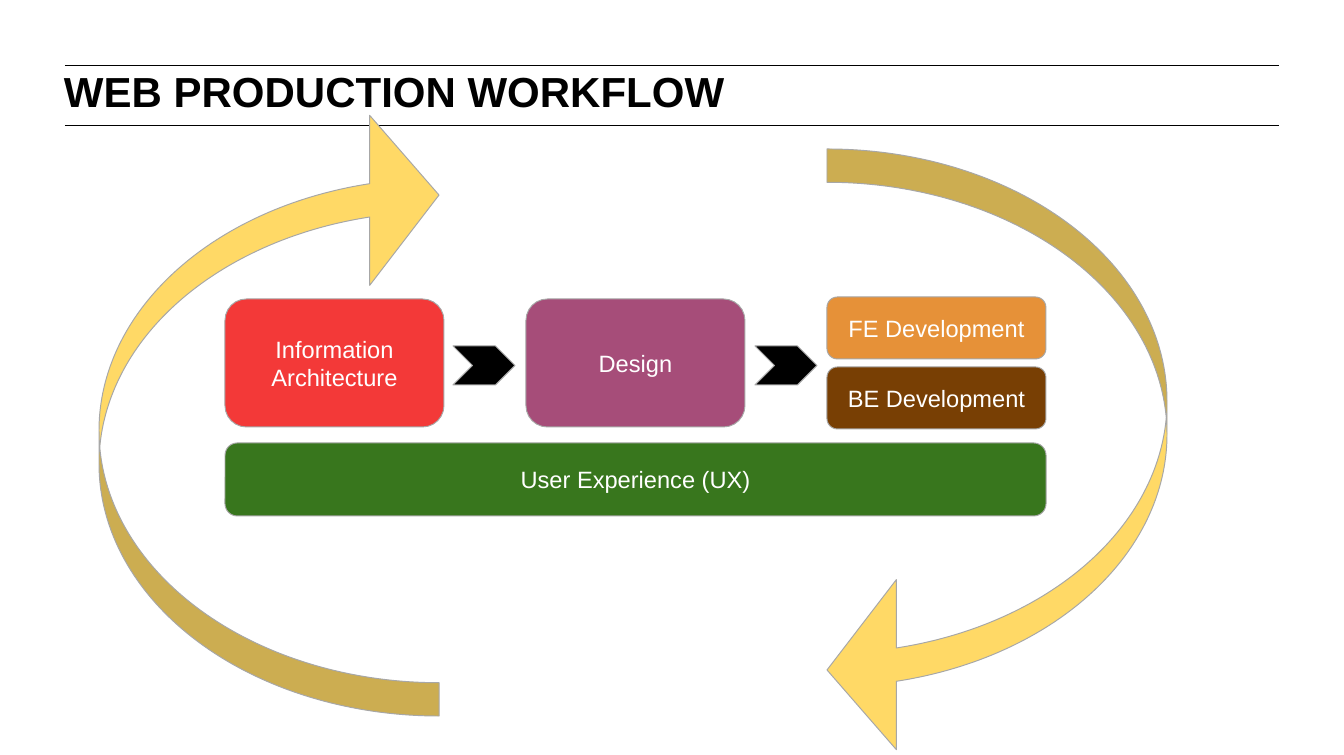
"""Builds the web production workflow slide."""
from lxml.etree import SubElement
from pptx import Presentation
from pptx.dml.color import RGBColor
from pptx.enum.shapes import MSO_CONNECTOR, MSO_SHAPE as SHAPE
from pptx.enum.text import MSO_ANCHOR as ANCHOR, PP_ALIGN as ALIGN
from pptx.oxml.ns import qn
from pptx.util import Pt

SCALE = 914400 / 94.5
COLORS = {
    "black": "000000", "white": "FFFFFF", "outline": "A7A7A7",
    "red": "F33938", "plum": "A64D79", "orange": "E69138",
    "brown": "783F04", "green": "38761D", "gold": "FFD966",
}


def px(*lengths):
    return [round(length * SCALE) for length in lengths]


def write(box, text, align, anchor, inset, font):
    frame = box.text_frame
    sides = ("margin_left", "margin_top", "margin_right", "margin_bottom")
    settings = {"word_wrap": True, "vertical_anchor": anchor}
    settings.update(dict.fromkeys(sides, px(inset)[0]))
    for name, value in settings.items():
        setattr(frame, name, value)
    para = frame.paragraphs[0]
    para.alignment = align
    span = para.add_run()
    span.text = text
    for name, value in {"name": "Arial", **font}.items():
        if name == "color":
            span.font.color.rgb = RGBColor.from_string(COLORS[value])
        else:
            setattr(span.font, name, value)


deck = Presentation()
deck.slide_width, deck.slide_height = px(1344, 755)
page = deck.slides.add_slide(deck.slide_layouts[6])

for y in (65, 126):
    rule = page.shapes.add_connector(MSO_CONNECTOR.STRAIGHT, *px(65, y, 1279, y))
    rule.line.color.rgb = RGBColor.from_string(COLORS["black"])
    rule.line.width = Pt(0.75)
    SubElement(rule.element.spPr, qn("a:effectLst"))

title = page.shapes.add_textbox(*px(64, 66, 799, 50))
write(title, "WEB PRODUCTION WORKFLOW", ALIGN.LEFT, ANCHOR.TOP, 0,
      {"size": Pt(32), "bold": True, "color": "black"})

ROUND, CHEVRON, CYCLE = SHAPE.ROUNDED_RECTANGLE, SHAPE.CHEVRON, SHAPE.CURVED_LEFT_ARROW
ADJUSTMENTS = {ROUND: [0.167], CHEVRON: [0.5], CYCLE: [0.098, 0.5, 0.204]}
parts = [
    (ROUND, (225, 299, 219, 128), "red", 0, "Information Architecture"),
    (ROUND, (526, 299, 219, 128), "plum", 0, "Design"),
    (ROUND, (827, 297, 219, 62), "orange", 0, "FE Development"),
    (ROUND, (827, 367, 219, 62), "brown", 0, "BE Development"),
    (ROUND, (225, 443, 821, 73), "green", 0, "User Experience (UX)"),
    (CHEVRON, (453, 346, 62, 39), "black", 0, ""),
    (CHEVRON, (755, 346, 62, 39), "black", 0, ""),
    (CYCLE, (827, 149, 340, 606), "gold", 0, ""),
    (CYCLE, (99, 110, 340, 606), "gold", 180, ""),
]
for kind, place, color, rotation, text in parts:
    box = page.shapes.add_shape(kind, *px(*place))
    box.shadow.inherit = False
    box.rotation = rotation
    for index, value in enumerate(ADJUSTMENTS[kind]):
        box.adjustments[index] = value
    box.fill.solid()
    box.fill.fore_color.rgb = RGBColor.from_string(COLORS[color])
    box.line.color.rgb = RGBColor.from_string(COLORS["outline"])
    box.line.width = Pt(0.75)
    if text:
        write(box, text, ALIGN.CENTER, ANCHOR.MIDDLE, 9,
              {"size": Pt(18), "color": "white"})

deck.save("out.pptx")
